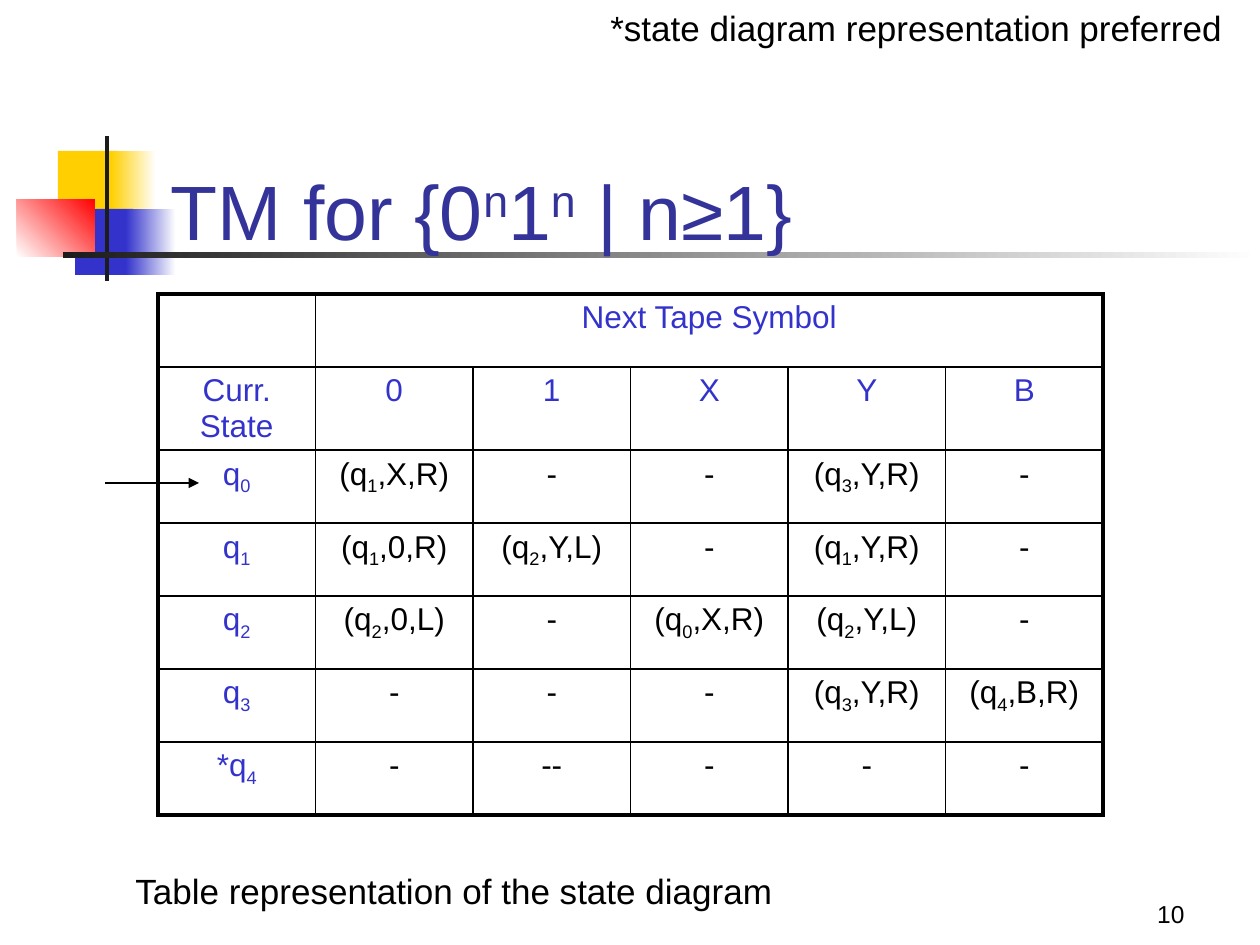
"""Build the slide with the transition table of a Turing machine for 0^n 1^n."""
from lxml.etree import SubElement
from pptx import Presentation
from pptx.dml.color import RGBColor
from pptx.enum.shapes import MSO_CONNECTOR as LineKind, MSO_SHAPE as ShapeKind
from pptx.enum.text import MSO_ANCHOR as Anchor, MSO_AUTO_SIZE as AutoSize, PP_ALIGN as Align
from pptx.oxml.ns import qn
from pptx.util import Emu, Pt

BLACK = RGBColor(0x00, 0x00, 0x00)
WHITE = RGBColor(0xFF, 0xFF, 0xFF)
CHARCOAL = RGBColor(0x1C, 0x1C, 0x1C)
YELLOW = RGBColor(0xFF, 0xCF, 0x01)
BLUE = RGBColor(0x33, 0x33, 0xCC)
NAVY = RGBColor(0x33, 0x33, 0x99)
RED = RGBColor(0xFF, 0x00, 0x00)


def px(*lengths):
    return [Emu(round(length * 914400 / 126)) for length in lengths]


def write(paragraph, marked, size, color, shift=0):
    for index, piece in enumerate(marked.split("~")):
        run = paragraph.add_run()
        run.text = piece
        run.font.name = "Arial"
        run.font.size = Pt(size)
        run.font.color.rgb = color
        if index % 2:
            run.font._element.set("baseline", str(shift * 1000))


deck = Presentation()
deck.slide_width, deck.slide_height = px(1260, 945)
slide = deck.slides.add_slide(deck.slide_layouts[5])
shapes = slide.shapes

ornaments = [
    ((58, 151, 60, 66), YELLOW, None, 0),
    ((111, 151, 45, 66), YELLOW, WHITE, 0),
    ((75, 209, 58, 66), BLUE, None, 0),
    ((126, 209, 50, 66), BLUE, WHITE, 0),
    ((17, 199, 78, 58), WHITE, RED, 45),
    ((105, 136, 4, 145), CHARCOAL, None, 0),
    ((63, 252, 1197, 6), CHARCOAL, WHITE, 0),
]
for place, start, end, angle in ornaments:
    ornament = shapes.add_shape(ShapeKind.RECTANGLE, *px(*place))
    ornament.shadow.inherit = False
    ornament.line.fill.background()
    if end is None:
        ornament.fill.solid()
        ornament.fill.fore_color.rgb = start
    else:
        ornament.fill.gradient()
        ornament.fill.gradient_angle = angle
        for stop, color in zip(ornament.fill.gradient_stops, (start, end)):
            stop.color.rgb = color

title = shapes.title
title.left, title.top, title.width, title.height = px(158, 105, 1073, 157)
title.text_frame.vertical_anchor = Anchor.BOTTOM
title.text_frame.auto_size = AutoSize.NONE
heading = title.text_frame.paragraphs[0]
heading.alignment = Align.LEFT
write(heading, "TM for {0~n~1~n~ | n≥1}", 44, NAVY, 30)
shapes._spTree.append(title._element)

transitions = [
    ["", "Next Tape Symbol", "", "", "", ""],
    ["Curr. State", "0", "1", "X", "Y", "B"],
    ["q~0~", "(q~1~,X,R)", "-", "-", "(q~3~,Y,R)", "-"],
    ["q~1~", "(q~1~,0,R)", "(q~2~,Y,L)", "-", "(q~1~,Y,R)", "-"],
    ["q~2~", "(q~2~,0,L)", "-", "(q~0~,X,R)", "(q~2~,Y,L)", "-"],
    ["q~3~", "-", "-", "-", "(q~3~,Y,R)", "(q~4~,B,R)"],
    ["*q~4~", "-", "--", "-", "-", "-"],
]
row_count, column_count = len(transitions), len(transitions[0])
table = shapes.add_table(row_count, column_count, *px(158, 294, 945, 511)).table
table.first_row = table.horz_banding = False
for column in table.columns:
    column.width, = px(157.5)
for row in table.rows:
    row.height, = px(73)
table.cell(0, 1).merge(table.cell(0, column_count - 1))

for r, entries in enumerate(transitions):
    for c, entry in enumerate(entries):
        cell = table.cell(r, c)
        outer_sides = {
            "a:lnL": c == 0,
            "a:lnR": c == column_count - 1 or (r == 0 and c > 0),
            "a:lnT": r == 0,
            "a:lnB": r == row_count - 1,
        }
        properties = cell._tc.get_or_add_tcPr()
        for side, is_outer in outer_sides.items():
            border = SubElement(properties, qn(side), w=str(Pt(2.25 if is_outer else 1)))
            SubElement(SubElement(border, qn("a:solidFill")), qn("a:srgbClr"), val=str(BLACK))
        cell.fill.background()
        if entry:
            label = cell.text_frame.paragraphs[0]
            label.alignment = Align.CENTER
            write(label, entry, 18, BLUE if r < 2 or c == 0 else BLACK, -25)

start_arrow = shapes.add_connector(LineKind.STRAIGHT, *px(105, 483, 199, 483))
start_arrow.line.color.rgb = BLACK
start_arrow.line.width = Pt(0.75)
SubElement(start_arrow.line._get_or_add_ln(), qn("a:tailEnd"), type="triangle")
SubElement(start_arrow._element.spPr, qn("a:effectLst"))

notes = [
    ((935, 872, 262, 63), "10", 14, Align.RIGHT, Anchor.BOTTOM, True),
    ((123, 863, 665, 54), "Table representation of the state diagram", 20, Align.LEFT, Anchor.TOP, False),
    ((598, 0, 641, 55), "*state diagram representation preferred", 20, Align.LEFT, Anchor.TOP, False),
]
for place, wording, size, alignment, anchor, wraps in notes:
    frame = shapes.add_textbox(*px(*place)).text_frame
    frame.word_wrap = wraps
    frame.auto_size = AutoSize.NONE if wraps else AutoSize.SHAPE_TO_FIT_TEXT
    frame.vertical_anchor = anchor
    frame.paragraphs[0].alignment = alignment
    write(frame.paragraphs[0], wording, size, BLACK)

deck.save("out.pptx")
